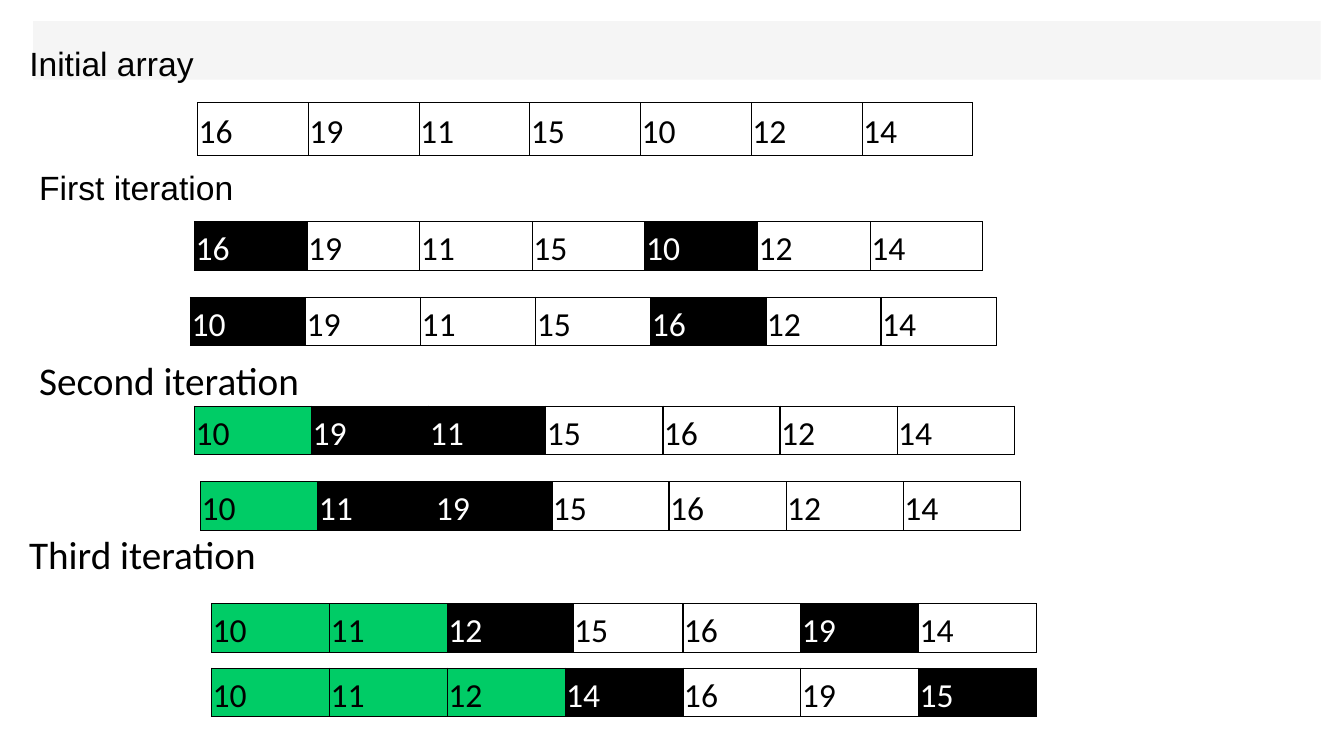
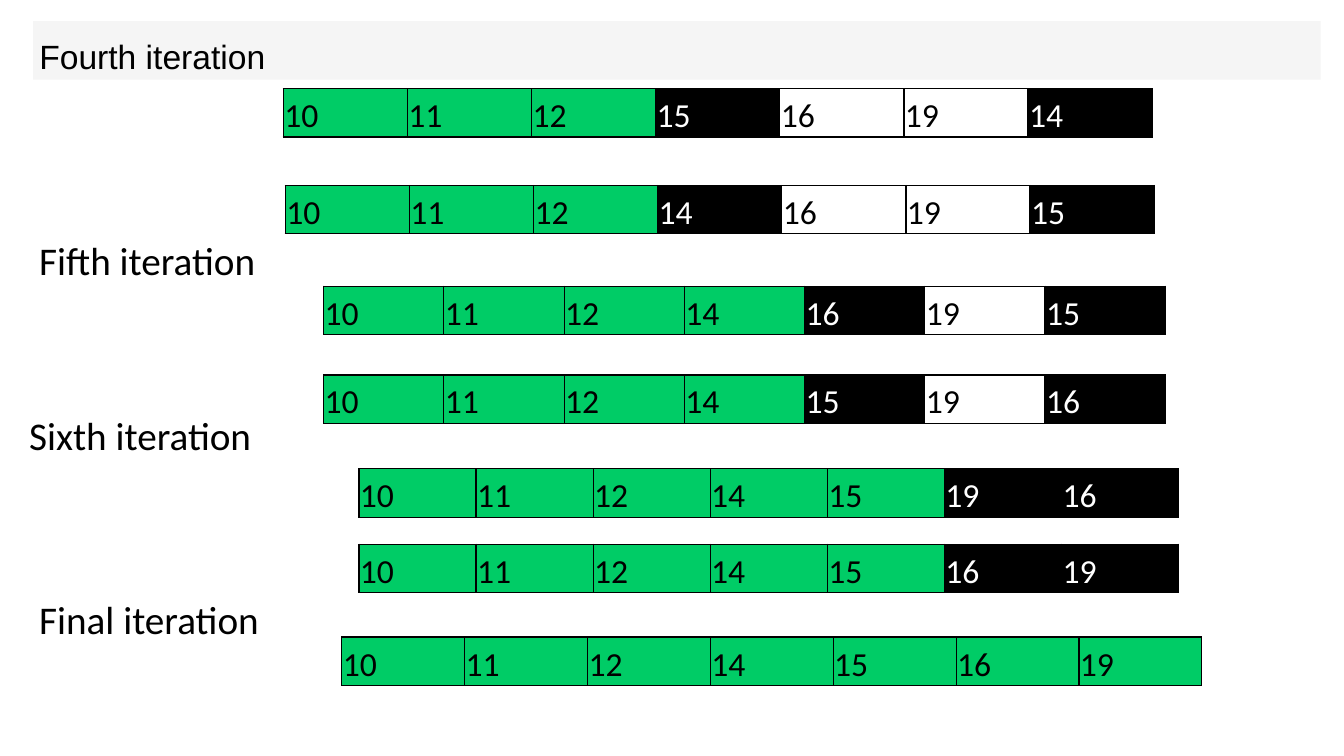
from dataclasses import dataclass

from lxml import etree
from pptx import Presentation
from pptx.dml.color import RGBColor
from pptx.enum.shapes import MSO_SHAPE
from pptx.enum.text import MSO_ANCHOR, MSO_AUTO_SIZE, PP_ALIGN
from pptx.oxml.ns import qn
from pptx.util import Inches, Pt

RECTANGLE = MSO_SHAPE.RECTANGLE
TOP, MIDDLE = MSO_ANCHOR.TOP, MSO_ANCHOR.MIDDLE
LEFT = PP_ALIGN.LEFT
GROW = MSO_AUTO_SIZE.SHAPE_TO_FIT_TEXT

BLACK, WHITE, GREEN, BAND_GREY = "000000", "FFFFFF", "00CC66", "F5F5F5"
TITLE_ONLY = 5
ROW_HEIGHT = 0.48
CELL_MARGIN = 0.01


@dataclass
class Label:
    """Heading of an iteration."""
    text: str
    left: float
    top: float
    width: float
    height: float = 0.57
    font: str = "Calibri"
    size: int = 28
    anchor: MSO_ANCHOR = TOP
    wrap: bool = False


@dataclass
class ArrayState:
    """The array at one moment: sorted prefix and the pair being swapped."""
    values: str
    left: float
    top: float
    width: float
    sorted_count: int = 0
    swap: tuple[int, ...] = ()
    height: float = ROW_HEIGHT
    divider_shift: float = 0  # moves the divider after the third cell


@dataclass
class SortSlide:
    title: Label
    labels: list[Label]
    states: list[ArrayState]


def arial_label(text: str, left: float, top: float, width: float,
                height: float) -> Label:
    return Label(text, left, top, width, height, "Arial", 24, MIDDLE, True)


SLIDES = [
    SortSlide(
        arial_label("Initial array", 0.19, 0.38, 1.96, 0.5),
        [
            arial_label("First iteration", 0.29, 1.62, 3.54, 0.48),
            Label("Second iteration", 0.29, 3.49, 2.81),
            Label("Third iteration", 0.19, 5.21, 2.48),
        ],
        [
            ArrayState("16 19 11 15 10 12 14", 1.96, 1.02, 7.69, height=0.52),
            ArrayState("16 19 11 15 10 12 14", 1.93, 2.2, 7.82, 0, (0, 4)),
            ArrayState("10 19 11 15 16 12 14", 1.89, 2.95, 7.99, 0, (0, 4)),
            ArrayState("10 19 11 15 16 12 14", 1.93, 4.03, 8.13, 1, (1, 2)),
            ArrayState("10 11 19 15 16 12 14", 1.99, 4.78, 8.13, 1, (1, 2)),
            ArrayState("10 11 12 15 16 19 14", 2.1, 5.99, 8.18, 2, (2, 5),
                       divider_shift=0.08),
            ArrayState("10 11 12 14 16 19 15", 2.1, 6.63, 8.18, 3, (3, 6)),
        ],
    ),
    SortSlide(
        arial_label("Fourth iteration", 0.29, 0.32, 3.54, 0.48),
        [
            Label("Fifth iteration", 0.29, 2.3, 2.38),
            Label("Sixth iteration", 0.19, 4.03, 2.43),
            Label("Final iteration", 0.29, 5.86, 2.4),
        ],
        [
            ArrayState("10 11 12 15 16 19 14", 2.81, 0.88, 8.62, 3, (3, 6)),
            ArrayState("10 11 12 14 16 19 15", 2.83, 1.84, 8.62, 3, (3, 6)),
            ArrayState("10 11 12 14 16 19 15", 3.21, 2.84, 8.35, 4, (4, 6)),
            ArrayState("10 11 12 14 15 19 16", 3.21, 3.72, 8.35, 4, (4, 6)),
            ArrayState("10 11 12 14 15 19 16", 3.56, 4.65, 8.13, 5, (5, 6)),
            ArrayState("10 11 12 14 15 16 19", 3.56, 5.4, 8.13, 5, (5, 6)),
            ArrayState("10 11 12 14 15 16 19", 3.39, 6.32, 8.53, 7),
        ],
    ),
]


def rgb(colour: str) -> RGBColor:
    return RGBColor.from_string(colour)


def write_text(frame, text: str, *, font: str, size: float,
               colour: str = BLACK, line_spacing: float = 1.0,
               space_after: float = 0) -> None:
    paragraph = frame.paragraphs[0]
    paragraph.alignment = LEFT
    paragraph.line_spacing = line_spacing
    paragraph.space_before = Pt(0)
    paragraph.space_after = Pt(space_after)
    run = paragraph.add_run()
    run.text = text
    run.font.name = font
    run.font.size = Pt(size)
    run.font.color.rgb = rgb(colour)


def fill_label(shape, label: Label) -> None:
    shape.left, shape.top = Inches(label.left), Inches(label.top)
    shape.width, shape.height = Inches(label.width), Inches(label.height)
    frame = shape.text_frame
    frame.word_wrap = label.wrap
    frame.auto_size = GROW
    frame.vertical_anchor = label.anchor
    write_text(frame, label.text, font=label.font, size=label.size)


def add_band(slide) -> None:
    """Grey band behind the title."""
    band = slide.shapes.add_shape(RECTANGLE, Inches(0.33), Inches(0.21),
                                  Inches(12.77), Inches(0.58))
    band.shadow.inherit = False
    band.fill.solid()
    band.fill.fore_color.rgb = rgb(BAND_GREY)
    band.line.fill.background()
    slide.shapes.title.element.addprevious(band.element)


def add_borders(cell) -> None:
    properties = cell._tc.get_or_add_tcPr()
    for side in ("a:lnL", "a:lnR", "a:lnT", "a:lnB"):
        line = etree.SubElement(properties, qn(side), w=str(Pt(1)))
        solid = etree.SubElement(line, qn("a:solidFill"))
        etree.SubElement(solid, qn("a:srgbClr"), val=BLACK)


def fill_cell(cell, value: str, fill: str | None, colour: str) -> None:
    add_borders(cell)
    if fill:
        cell.fill.solid()
        cell.fill.fore_color.rgb = rgb(fill)
    else:
        cell.fill.background()
    cell.margin_left = cell.margin_right = Inches(CELL_MARGIN)
    cell.margin_top = cell.margin_bottom = Inches(CELL_MARGIN)
    cell.vertical_anchor = MIDDLE
    write_text(cell.text_frame, value, font="Calibri", size=24, colour=colour,
               line_spacing=1.15, space_after=10)


def add_array(slide, state: ArrayState) -> None:
    values = state.values.split()
    table = slide.shapes.add_table(
        1, len(values), Inches(state.left), Inches(state.top),
        Inches(state.width), Inches(state.height)).table
    table.first_row = table.horz_banding = False
    table.rows[0].height = Inches(state.height)
    shifts = {2: state.divider_shift, 3: -state.divider_shift}
    for index, value in enumerate(values):
        cell_width = state.width / len(values) + shifts.get(index, 0)
        table.columns[index].width = Inches(cell_width)
        fill, colour = None, BLACK
        if index in state.swap:
            fill, colour = BLACK, WHITE
        elif index < state.sorted_count:
            fill = GREEN
        fill_cell(table.cell(0, index), value, fill, colour)


def main() -> None:
    presentation = Presentation()
    presentation.slide_width = Inches(13.33)
    presentation.slide_height = Inches(7.5)
    for content in SLIDES:
        slide = presentation.slides.add_slide(
            presentation.slide_layouts[TITLE_ONLY])
        add_band(slide)
        fill_label(slide.shapes.title, content.title)
        for label in content.labels:
            fill_label(slide.shapes.add_textbox(0, 0, 0, 0), label)
        for state in content.states:
            add_array(slide, state)
    presentation.save("out.pptx")


if __name__ == "__main__":
    main()
